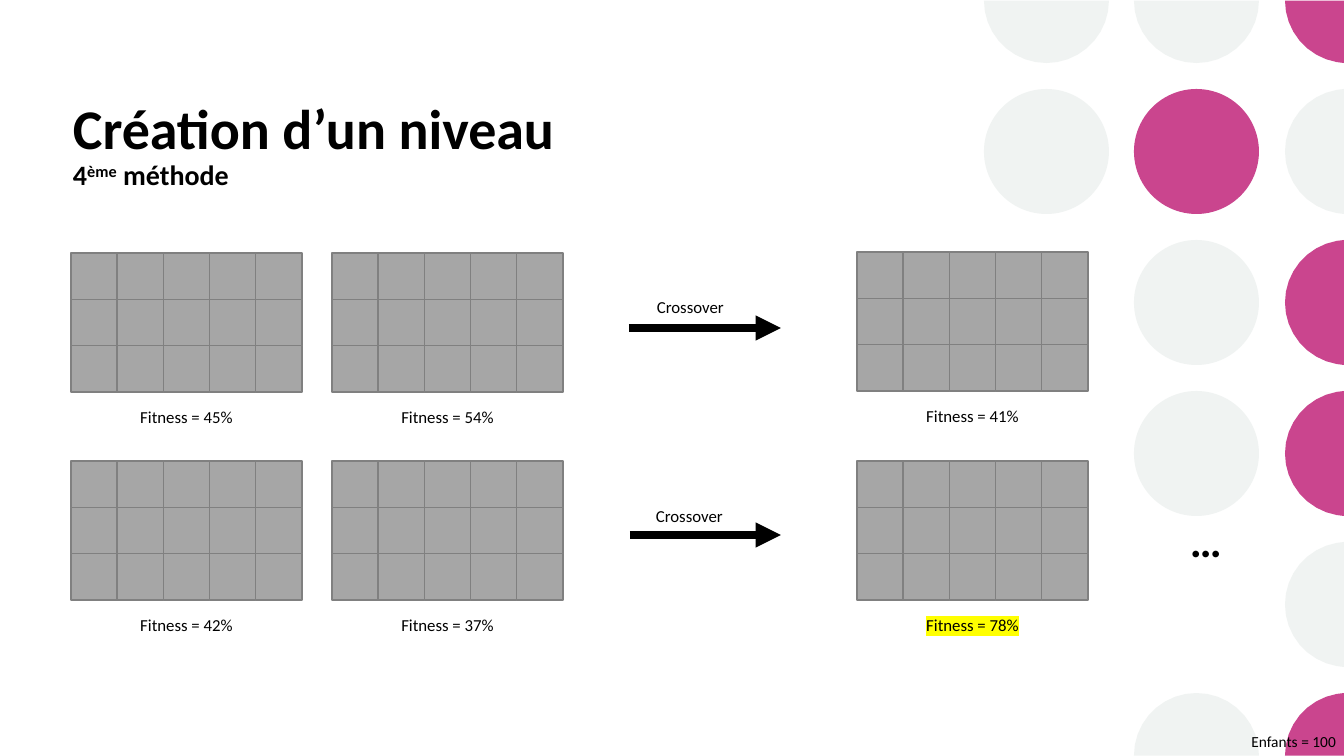
from math import cos, radians, sin
from lxml.etree import SubElement
from pptx import Presentation
from pptx.dml.color import RGBColor as RGB
from pptx.enum.shapes import MSO_CONNECTOR as LINK, MSO_SHAPE as FORM
from pptx.enum.text import MSO_AUTO_SIZE as FIT, PP_ALIGN as ALIGN
from pptx.oxml.ns import qn
from pptx.util import Emu, Pt

COLORS = {"pale": "F0F3F2", "pink": "CA458E", "cell": "A6A6A6", "edge": "808080",
          "ink": "000000", "white": "FFFFFF", "mark": "FFFF00"}
WIDE, HIGH = 1344, 756

DOTS = [
    (984, ["pale", "pale"]),
    (1134, ["pale", "pink", "pale", "pale", None, "pale"]),
    (1285, ["pink", "pale", "pink", "pink", "pale", "pink"]),
]
DOT, STEP, FIRST, TURN = 125, 151, -62, 10
BAR = (57, 667, 820, 9)

TITLE = [("Création d’un niveau", 40, False), ("4", 20, False),
         ("ème", 20, True), (" méthode", 20, False)]
TITLE_BOX = (63, 85, 808, 140)

GRIDS = [
    (71, 253, "Fitness = 45%", None),
    (332, 253, "Fitness = 54%", None),
    (71, 461, "Fitness = 42%", None),
    (332, 461, "Fitness = 37%", None),
    (857, 252, "Fitness = 41%", None),
    (857, 461, "Fitness = 78%", "mark"),
]
COLS, ROWS, GRID_W, GRID_H = 5, 3, 231, 139
LABEL_W, LABEL_H, DROP = 133, 30, 149

ARROWS = [(629, 781, 328), (630, 781, 535)]
NOTES = [
    ("…", (1180, 508, 57, 64), 32, True, ALIGN.LEFT, 0),
    ("Crossover", (647, 292, 102, 30), 12, False, ALIGN.LEFT, 0),
    ("Crossover", (646, 501, 102, 30), 12, False, ALIGN.LEFT, 0),
    ("Enfants = 100", (1226, 727, 120, 29), 11, False, ALIGN.RIGHT, 6),
]


def px(n):
    return Emu(round(n * 914400 / 100.8))


def rgb(name):
    return RGB.from_string(COLORS[name])


def paint(shape, fill, edge=None):
    shape.shadow.inherit = False
    shape.fill.solid()
    shape.fill.fore_color.rgb = rgb(fill)
    if edge:
        shape.line.color.rgb = rgb(edge)
        shape.line.width = Pt(1)
    else:
        shape.line.fill.background()


def form(kind, box, fill, edge=None):
    paint(shapes.add_shape(kind, *map(px, box)), fill, edge)


def clip(x, y):
    return px(min(WIDE, x)), px(min(HIGH, max(0, y)))


def dot(x, y, fill):
    top, low, side = y < 0, y + DOT > HIGH, x + DOT > WIDE
    if not (top or low or side):
        form(FORM.OVAL, (x, y, DOT, DOT), fill)
        return
    r = DOT / 2
    start = 180 if low else 90 if side else 0
    end = 180 if top else 270 if side else 360
    rim = [clip(x + r + r * cos(radians(a)), y + r + r * sin(radians(a)))
           for a in range(start, end + 1, TURN)]
    pen = shapes.build_freeform(*clip(x + r, y + r), scale=1)
    pen.add_line_segments(rim, close=True)
    paint(pen.convert_to_shape(), fill)


def style(run, size, bold=False):
    for key, val in {"name": "Calibri", "size": Pt(size), "bold": bold}.items():
        setattr(run.font, key, val)
    run.font.color.rgb = rgb("ink")


def note(text, box, size, bold=False, align=ALIGN.CENTER, after=0, mark=None):
    frame = shapes.add_textbox(*map(px, box)).text_frame
    frame.word_wrap = False
    frame.auto_size = FIT.SHAPE_TO_FIT_TEXT
    para = frame.paragraphs[0]
    for key, val in {"alignment": align, "space_after": Pt(after)}.items():
        setattr(para, key, val)
    run = para.add_run()
    run.text = text
    style(run, size, bold)
    if mark:
        props = run.font._element
        glow = SubElement(props, qn("a:highlight"))
        SubElement(glow, qn("a:srgbClr")).set("val", COLORS[mark])
        props.find(qn("a:latin")).addprevious(glow)


def title():
    frame = shapes.add_textbox(*map(px, TITLE_BOX)).text_frame
    frame.word_wrap = True
    frame.margin_top = px(16)
    para = frame.paragraphs[0]
    para.line_spacing = 0.9
    for i, (text, size, raised) in enumerate(TITLE):
        if i == 1:
            para.add_line_break()
        run = para.add_run()
        run.text = text
        style(run, size, True)
        if raised:
            run.font._element.set("baseline", "30000")


def grid(x, y, text, mark):
    w, h = GRID_W / COLS, GRID_H / ROWS
    for row in range(ROWS):
        for col in range(COLS):
            form(FORM.RECTANGLE, (x + col * w, y + row * h, w, h), "cell", "edge")
    left = x + (GRID_W - LABEL_W) / 2
    note(text, (left, y + DROP, LABEL_W, LABEL_H), 12, mark=mark)


def arrow(x1, x2, y):
    link = shapes.add_connector(LINK.STRAIGHT, px(x1), px(y), px(x2), px(y))
    link.line.color.rgb = rgb("ink")
    link.line.width = Pt(6)
    stroke = link._element.spPr.find(qn("a:ln"))
    SubElement(stroke, qn("a:tailEnd")).set("type", "triangle")
    SubElement(link._element.spPr, qn("a:effectLst"))


deck = Presentation()
deck.slide_width, deck.slide_height = px(WIDE), px(HIGH)
shapes = deck.slides.add_slide(deck.slide_layouts[6]).shapes

for x, fills in DOTS:
    for k, fill in enumerate(fills):
        if fill:
            dot(x, FIRST + k * STEP, fill)
form(FORM.RECTANGLE, BAR, "white")
title()
for item in GRIDS:
    grid(*item)
for item in ARROWS:
    arrow(*item)
for item in NOTES:
    note(*item)

deck.save("out.pptx")
